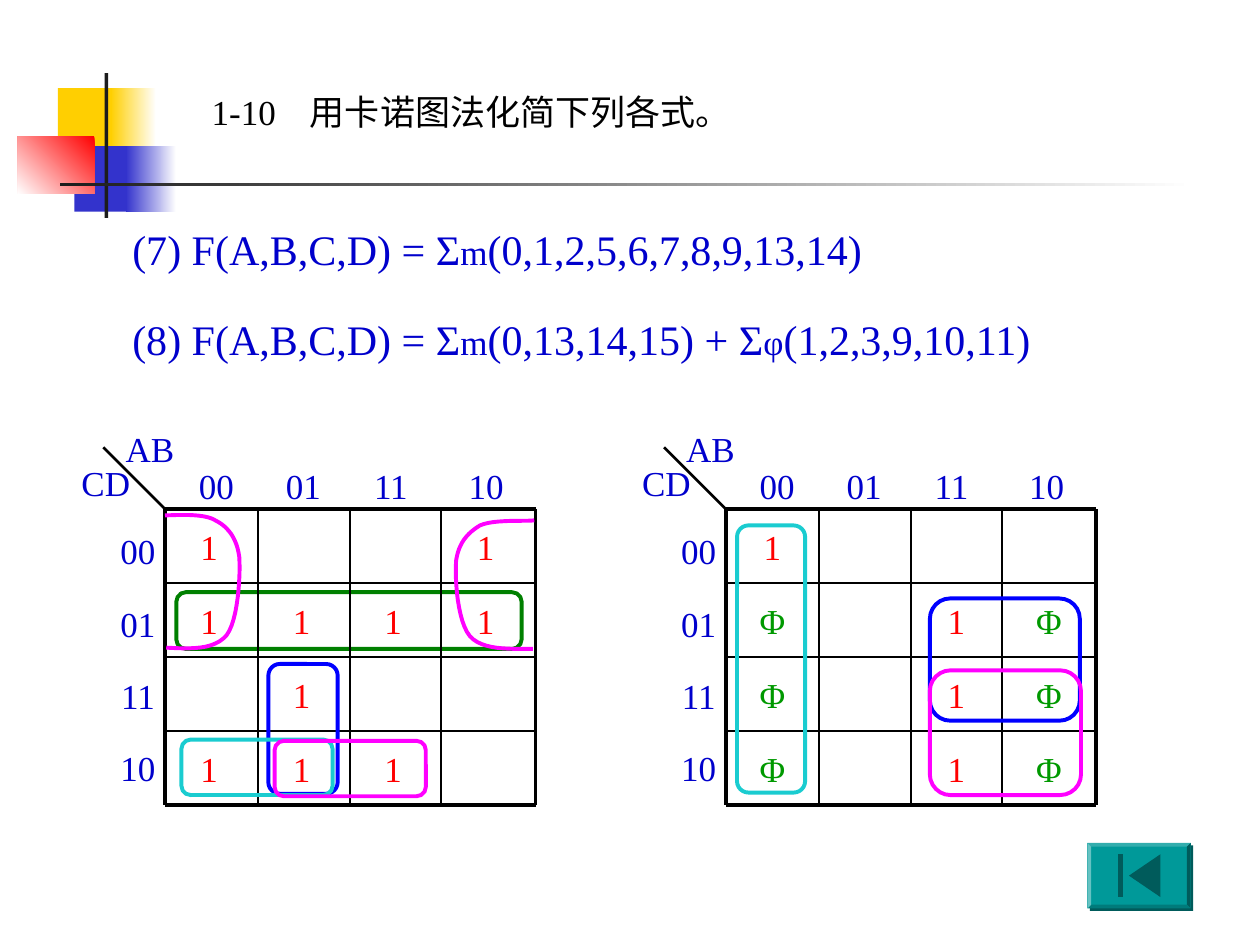
"""Build the Karnaugh map exercise slide."""
from dataclasses import dataclass

from lxml import etree
from pptx import Presentation
from pptx import util as u
from pptx.dml.color import RGBColor
from pptx.enum import shapes, text
from pptx.oxml import ns

FONT = "Times New Roman"
BLUE, RED, GREEN, BLACK = "0000CC", "FF0000", "009900", "000000"
CYAN, PINK = "1ACCD0", "FF00FF"
TEAL, DARK_TEAL = "009999", "005B5B"
COLUMN_EDGES = (0, 0.74, 1.47, 2.19, 2.94)
ROW_EDGES = tuple(0.5875 * row for row in range(5))
MAP_TOP = 4.04
CODES = ("00", "01", "11", "10")


@dataclass
class Block:
    left: float
    top: float
    width: float
    height: float
    color: str
    fade_to: str = ""
    angle: float = 180


@dataclass
class Loop:
    left: float
    top: float
    width: float
    height: float
    color: str


@dataclass
class KarnaughMap:
    left: float
    cells_left: float
    rows: tuple[str, ...]
    loops_under: tuple[Loop, ...]
    loops_over: tuple[Loop, ...]


BLOCKS = (
    Block(0.46, 0.7, 0.48, 0.52, "FFCF01"),
    Block(0.88, 0.7, 0.36, 0.52, "FFFFFF", "FFCF01"),
    Block(0.59, 1.16, 0.46, 0.52, "3333CC"),
    Block(1, 1.16, 0.4, 0.52, "FFFFFF", "3333CC"),
    Block(0.14, 1.08, 0.61, 0.46, "FF0000", "FFFFFF", 225),
    Block(0.83, 0.58, 0.03, 1.15, "1C1C1C"),
    Block(0.48, 1.45, 9, 0.03, "FFFFFF", "1C1C1C"),
)
FORMULAS = (
    (("(7) F(A,B,C,D) = Σ", 24), ("m", 20), ("(0,1,2,5,6,7,8,9,13,14)", 24)),
    (("(8) F(A,B,C,D) = Σ", 24), ("m", 20), ("(0,13,14,15) + Σ", 24),
     ("φ", 20), ("(1,2,3,9,10,11)", 24)),
)
MAPS = (
    KarnaughMap(1.31, 1.29, ("1  1", "1111", " 1  ", "111 "),
                (Loop(1.4, 4.7, 2.74, 0.45, "008000"),),
                (Loop(2.13, 5.27, 0.55, 1.03, "0000FF"),
                 Loop(1.44, 5.87, 1.2, 0.44, CYAN),
                 Loop(2.18, 5.88, 1.2, 0.44, PINK))),
    KarnaughMap(5.76, 5.76, ("1   ", "Φ 1Φ", "Φ 1Φ", "Φ 1Φ"), (),
                (Loop(7.38, 4.75, 1.19, 0.97, "0000FF"),
                 Loop(5.85, 4.17, 0.54, 2.12, CYAN),
                 Loop(7.38, 5.32, 1.2, 0.99, PINK))),
)
WRAP_CURVES = (
    ((1.32, 5.14), (1.51, 5.15), (1.7, 5.16), (1.8, 5.04), (1.89, 4.92),
     (1.91, 4.57), (1.9, 4.42), (1.88, 4.27), (1.81, 4.18), (1.71, 4.13),
     (1.62, 4.07), (1.38, 4.09), (1.31, 4.09)),
    ((4.23, 5.15), (4.03, 5.15), (3.83, 5.16), (3.73, 5.05), (3.63, 4.93),
     (3.61, 4.6), (3.62, 4.45), (3.64, 4.31), (3.71, 4.23), (3.81, 4.17),
     (3.92, 4.12), (4.17, 4.14), (4.24, 4.13)),
)


def rgb(color: str) -> RGBColor:
    """Turn a hex string into a colour."""
    return RGBColor.from_string(color)


def place(shape, left: float, top: float, width: float, height: float) -> None:
    """Move and size a shape in inches."""
    shape.left, shape.top = u.Inches(left), u.Inches(top)
    shape.width, shape.height = u.Inches(width), u.Inches(height)


def add_tabs(paragraph, *stops: float) -> None:
    """Add left tab stops to a paragraph."""
    tab_list = etree.SubElement(paragraph._p.get_or_add_pPr(), ns.qn("a:tabLst"))
    for stop in stops:
        etree.SubElement(tab_list, ns.qn("a:tab"), pos=str(u.Inches(stop)), algn="l")


def style(paragraph, size: int, color: str, align=text.PP_ALIGN.LEFT) -> None:
    """Set a paragraph's font and alignment."""
    paragraph.alignment = align
    paragraph.font.name = FONT
    paragraph.font.size = u.Pt(size)
    paragraph.font.color.rgb = rgb(color)


def add_label(slide, box: tuple, content: str, color: str = BLUE,
              align=text.PP_ALIGN.CENTER, anchor=text.MSO_ANCHOR.TOP, tabs: tuple = ()):
    """Add a text box and return its text frame."""
    frame = slide.shapes.add_textbox(*map(u.Inches, box)).text_frame
    frame.word_wrap = True
    frame.vertical_anchor = anchor
    frame.text = content
    for paragraph in frame.paragraphs:
        if tabs:
            add_tabs(paragraph, *tabs)
        style(paragraph, 20, color, align)
    return frame


def add_line(slide, start: tuple, end: tuple, width: float) -> None:
    """Draw a black straight line."""
    line = slide.shapes.add_connector(
        shapes.MSO_CONNECTOR.STRAIGHT, *map(u.Inches, start + end))
    line.line.color.rgb = rgb(BLACK)
    line.line.width = u.Pt(width)
    etree.SubElement(line._element.spPr, ns.qn("a:effectLst"))


def outline(shape, color: str) -> None:
    """Give a shape a coloured outline and no fill."""
    shape.shadow.inherit = False
    shape.fill.background()
    shape.line.color.rgb = rgb(color)
    shape.line.width = u.Pt(2.25)


def add_block(slide, block: Block) -> None:
    """Draw a solid or fading rectangle."""
    shape = slide.shapes.add_shape(shapes.MSO_SHAPE.RECTANGLE, 0, 0, 0, 0)
    place(shape, block.left, block.top, block.width, block.height)
    shape.shadow.inherit = False
    shape.line.fill.background()
    if not block.fade_to:
        shape.fill.solid()
        shape.fill.fore_color.rgb = rgb(block.color)
        return
    shape.fill.gradient()
    shape.fill.gradient_angle = block.angle
    for stop, color in zip(shape.fill.gradient_stops, (block.color, block.fade_to)):
        stop.color.rgb = rgb(color)


def add_loop(slide, loop: Loop) -> None:
    """Draw a rounded loop around adjacent cells."""
    shape = slide.shapes.add_shape(shapes.MSO_SHAPE.ROUNDED_RECTANGLE, 0, 0, 0, 0)
    place(shape, loop.left, loop.top, loop.width, loop.height)
    outline(shape, loop.color)


def add_outline(slide, points: list, close: bool):
    """Build a freeform through points given in inches."""
    start, *rest = [(u.Inches(x), u.Inches(y)) for x, y in points]
    builder = slide.shapes.build_freeform(*start)
    builder.add_line_segments(rest, close=close)
    shape = builder.convert_to_shape()
    shape.shadow.inherit = False
    return shape


def bezier_points(controls: tuple, steps: int = 12) -> list:
    """Sample a chain of cubic curves."""
    points = [controls[0]]
    for first in range(0, len(controls) - 1, 3):
        for step in range(1, steps + 1):
            t = step / steps
            weights = ((1 - t) ** 3, 3 * t * (1 - t) ** 2, 3 * t * t * (1 - t), t ** 3)
            section = controls[first:first + 4]
            points.append(tuple(
                sum(w * p[axis] for w, p in zip(weights, section)) for axis in (0, 1)))
    return points


def add_map(slide, kmap: KarnaughMap) -> None:
    """Draw a Karnaugh map with its values, grid, labels and loops."""
    left, right, bottom = kmap.left, kmap.left + COLUMN_EDGES[-1], MAP_TOP + ROW_EDGES[-1]
    for loop in kmap.loops_under:
        add_loop(slide, loop)
    for row, values in enumerate(kmap.rows):
        for column, value in enumerate(values):
            if value != " ":
                x, next_x = COLUMN_EDGES[column:column + 2]
                box = (kmap.cells_left + x, MAP_TOP + ROW_EDGES[row], next_x - x, ROW_EDGES[1])
                add_label(slide, box, value, RED if value == "1" else GREEN,
                          anchor=text.MSO_ANCHOR.MIDDLE)
    for index, (x, y) in enumerate(zip(COLUMN_EDGES, ROW_EDGES)):
        width = 2.25 if index in (0, 4) else 1
        add_line(slide, (left, MAP_TOP + y), (right, MAP_TOP + y), width)
        add_line(slide, (left + x, MAP_TOP), (left + x, bottom), width)
    add_line(slide, (left, MAP_TOP), (left - 0.49, MAP_TOP - 0.49), 1.5)
    add_label(slide, (left - 0.45, 3.34, 0.66, 0.44), "AB")
    add_label(slide, (left - 0.8, 3.61, 0.66, 0.44), "CD")
    add_label(slide, (left + 0.17, 3.64, 2.79, 0.44), "\t".join(CODES),
              align=text.PP_ALIGN.LEFT, tabs=(0.69, 1.39, 2.14))
    frame = add_label(slide, (left - 0.49, 4.09, 0.55, 2.22), "\n".join(CODES))
    for index, paragraph in enumerate(frame.paragraphs):
        paragraph.line_spacing = 1.2
        paragraph.space_before = u.Pt(12.5 if index else 0)
    for loop in kmap.loops_over:
        add_loop(slide, loop)


def add_button(slide) -> None:
    """Draw the bevelled back-to-start button."""
    outer = [(8.63, 6.69), (9.45, 6.69), (9.45, 7.21), (8.63, 7.21)]
    inner = [(8.66, 6.72), (9.42, 6.72), (9.42, 7.18), (8.66, 7.18)]
    add_block(slide, Block(8.65, 6.71, 0.82, 0.52, DARK_TEAL))
    parts = [(outer, TEAL)]
    for side, color in enumerate(("33ADAD", DARK_TEAL, "007B7B", "66C2C2")):
        after = (side + 1) % 4
        parts.append(([outer[side], outer[after], inner[after], inner[side]], color))
    parts.append(([(8.96, 6.95), (9.21, 6.78), (9.21, 7.12)], DARK_TEAL))
    parts.append(([(8.87, 6.78), (8.91, 6.78), (8.91, 7.12), (8.87, 7.12)], DARK_TEAL))
    for points, color in parts:
        shape = add_outline(slide, points, close=True)
        shape.fill.solid()
        shape.fill.fore_color.rgb = rgb(color)
        shape.line.fill.background()


def fill_placeholders(slide) -> None:
    """Write the title and the two formulas."""
    title, body = slide.shapes.title, slide.placeholders[1]
    place(title, 1.58, 0.67, 8.17, 0.44)
    place(body, 0.95, 1.72, 7.97, 1.2)
    for shape in (title, body):
        shape.text_frame.auto_size = text.MSO_AUTO_SIZE.NONE
        shape.text_frame.vertical_anchor = text.MSO_ANCHOR.TOP
    title.text_frame.text = "1-10\t用卡诺图法化简下列各式。"
    add_tabs(title.text_frame.paragraphs[0], 0.78)
    style(title.text_frame.paragraphs[0], 20, BLACK)
    for index, formula in enumerate(FORMULAS):
        frame = body.text_frame
        paragraph = frame.add_paragraph() if index else frame.paragraphs[0]
        properties = paragraph._p.get_or_add_pPr()
        properties.set("marL", "0")
        properties.set("indent", "0")
        etree.SubElement(properties, ns.qn("a:buNone"))
        paragraph.space_before = u.Pt(23 if index else 0)
        style(paragraph, 24, BLUE)
        for content, size in formula:
            run = paragraph.add_run()
            run.text = content
            run.font.size = u.Pt(size)


def main() -> None:
    """Build and save the presentation."""
    presentation = Presentation()
    presentation.slide_width, presentation.slide_height = u.Inches(10), u.Inches(7.5)
    slide = presentation.slides.add_slide(presentation.slide_layouts[1])
    for block in BLOCKS:
        add_block(slide, block)
    fill_placeholders(slide)
    for kmap in MAPS:
        add_map(slide, kmap)
    for curve in WRAP_CURVES:
        outline(add_outline(slide, bezier_points(curve), close=False), PINK)
    add_button(slide)
    presentation.save("out.pptx")


if __name__ == "__main__":
    main()
